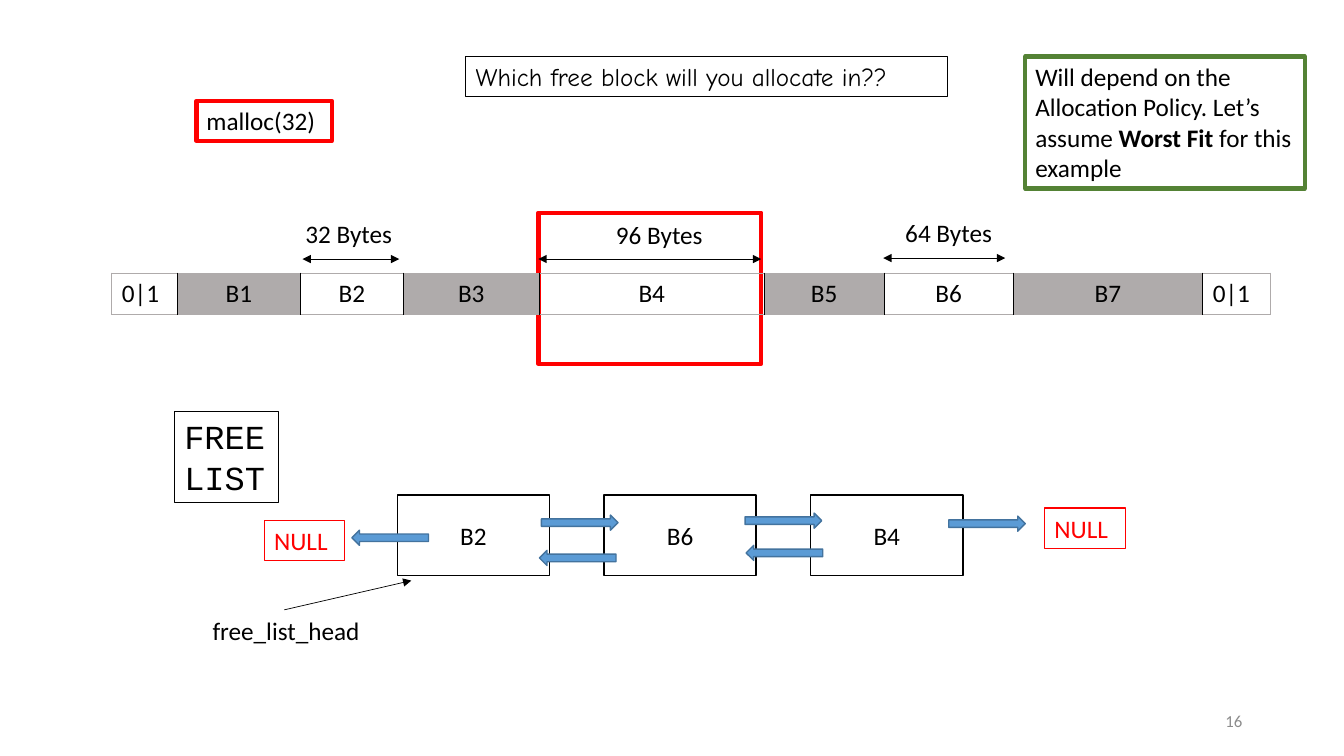
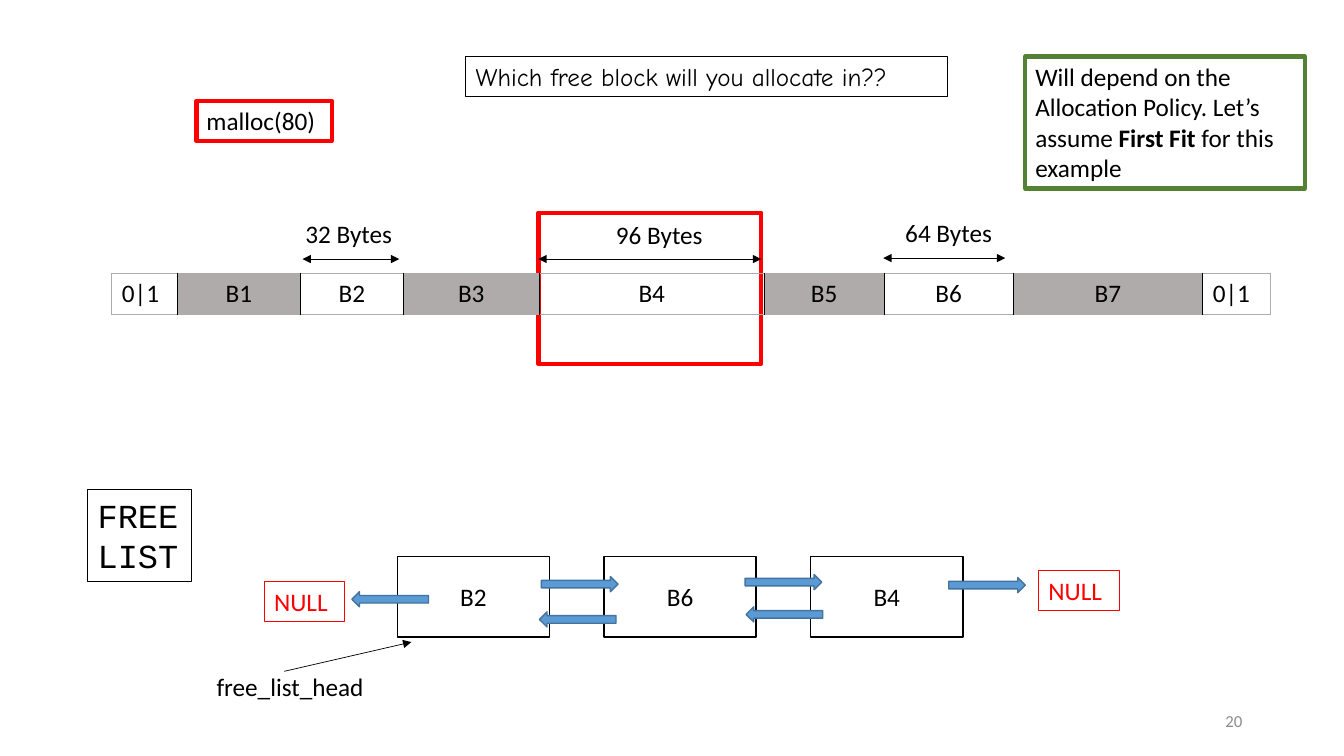
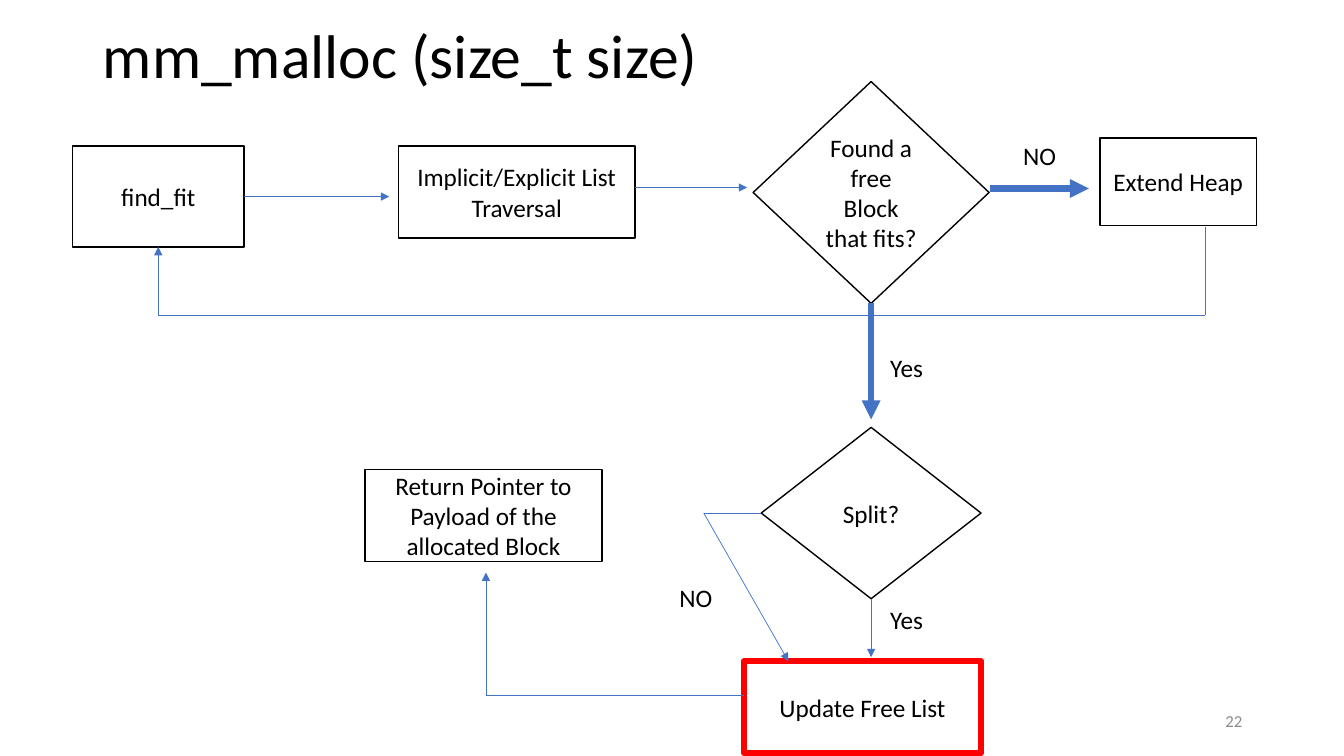
from lxml.etree import SubElement
from pptx import Presentation
from pptx.dml.color import RGBColor
from pptx.enum.shapes import MSO_CONNECTOR, MSO_SHAPE
from pptx.enum.text import MSO_ANCHOR, MSO_AUTO_SIZE, PP_ALIGN
from pptx.oxml.ns import qn
from pptx.util import Inches, Pt

BLACK = RGBColor(0x00, 0x00, 0x00)
WHITE = RGBColor(0xFF, 0xFF, 0xFF)
RED = RGBColor(0xFF, 0x00, 0x00)
GREEN = RGBColor(0x54, 0x82, 0x35)
GREY = RGBColor(0xAF, 0xAB, 0xAB)
NUMBER_GREY = RGBColor(0x8C, 0x8C, 0x8C)
FLOW_BLUE = RGBColor(0x44, 0x72, 0xC4)
ARROW_BLUE = RGBColor(0x5B, 0x9B, 0xD5)
ARROW_EDGE = RGBColor(0x43, 0x73, 0x9E)

TITLE_ONLY, BLANK = 5, 6
BLOCKS = [("0|1", 0.65), ("B1", 1.22), ("B2", 1.02), ("B3", 1.35), ("B4", 2.23),
          ("B5", 1.19), ("B6", 1.28), ("B7", 1.88), ("0|1", 0.67)]
USED = {"B1", "B3", "B5", "B7"}


def write(tf, text, size=18, color=BLACK, font="Calibri", align=PP_ALIGN.LEFT,
          anchor=MSO_ANCHOR.TOP, spacing=None):
    """Fill a text frame; in a tuple of texts, every second one is bold."""
    tf.word_wrap = True
    tf.vertical_anchor = anchor
    p = tf.paragraphs[0]
    p.alignment = align
    p.line_spacing = spacing
    parts = (text,) if isinstance(text, str) else text
    for i, part in enumerate(parts):
        r = p.add_run()
        r.text = part
        r.font.name = font
        r.font.size = Pt(size)
        r.font.bold = i % 2 == 1
        r.font.color.rgb = color


class Deck:
    def __init__(self):
        self.prs = Presentation()
        self.prs.slide_width = Inches(13.33)
        self.prs.slide_height = Inches(7.5)
        self.s = None

    def slide(self, number, title=None):
        layout = TITLE_ONLY if title else BLANK
        self.s = self.prs.slides.add_slide(self.prs.slide_layouts[layout])
        if title:
            sp = self.s.shapes.title
            sp.left, sp.top = Inches(0.92), Inches(0.02)
            sp.width, sp.height = Inches(11.5), Inches(1.13)
            write(sp.text_frame, title, size=44, anchor=MSO_ANCHOR.MIDDLE, spacing=0.9)
        self.text(9.42, 6.95, 3, 0.4, str(number), grow=False, size=12,
                  color=NUMBER_GREY, align=PP_ALIGN.RIGHT, anchor=MSO_ANCHOR.MIDDLE)

    def text(self, x, y, w, h, text, line=None, weight=0.75, grow=True, **fmt):
        sp = self.s.shapes.add_textbox(Inches(x), Inches(y), Inches(w), Inches(h))
        write(sp.text_frame, text, **fmt)
        if grow:
            sp.text_frame.auto_size = MSO_AUTO_SIZE.SHAPE_TO_FIT_TEXT
        if line is not None:
            sp.line.color.rgb = line
            sp.line.width = Pt(weight)

    def shape(self, x, y, w, h, text="", kind=MSO_SHAPE.RECTANGLE, fill=WHITE,
              line=BLACK, weight=1, rotation=0):
        sp = self.s.shapes.add_shape(kind, Inches(x), Inches(y), Inches(w), Inches(h))
        sp.shadow.inherit = False
        sp.rotation = rotation
        sp.fill.solid()
        sp.fill.fore_color.rgb = fill
        sp.line.color.rgb = line
        sp.line.width = Pt(weight)
        if text:
            write(sp.text_frame, text, align=PP_ALIGN.CENTER, anchor=MSO_ANCHOR.MIDDLE)
        return sp

    def line(self, start, end, color=FLOW_BLUE, weight=0.5, head=False, tail=True,
             begin=None, finish=None):
        points = [Inches(v) for v in (*start, *end)]
        c = self.s.shapes.add_connector(MSO_CONNECTOR.STRAIGHT, *points)
        if begin:
            c.begin_connect(*begin)
        if finish:
            c.end_connect(*finish)
        c.line.color.rgb = color
        c.line.width = Pt(weight)
        ln = c.line._get_or_add_ln()
        for tag, shown in (("a:headEnd", head), ("a:tailEnd", tail)):
            if shown:
                SubElement(ln, qn(tag), type="triangle")
        SubElement(c._element.spPr, qn("a:effectLst"))

    def borders(self, cell, **colors):
        tcPr = cell._tc.get_or_add_tcPr()
        for side in "LRTB":
            ln = SubElement(tcPr, qn("a:ln" + side), w=str(Pt(1)))
            fill = SubElement(ln, qn("a:solidFill"))
            SubElement(fill, qn("a:srgbClr"), val=str(colors.get(side, GREY)))

    def heap(self, x, y, h):
        width = sum(w for _, w in BLOCKS)
        table = self.s.shapes.add_table(1, len(BLOCKS), Inches(x), Inches(y),
                                        Inches(width), Inches(h)).table
        table.first_row = table.horz_banding = False
        last = len(BLOCKS) - 1
        for i, (name, w) in enumerate(BLOCKS):
            table.columns[i].width = Inches(w)
            cell = table.cell(0, i)
            self.borders(cell, L=BLACK if i > 0 else GREY, R=BLACK if i < last else GREY)
            if name in USED:
                cell.fill.solid()
                cell.fill.fore_color.rgb = GREY
            else:
                cell.fill.background()
            write(cell.text_frame, name,
                  align=PP_ALIGN.LEFT if i in (0, last) else PP_ALIGN.CENTER)

    def free_list(self, top, caption, end_null, head_label):
        self.text(*caption, 1.03, 0.91, "FREE LIST", line=BLACK, size=24, font="Courier New")
        for i, name in enumerate(("B2", "B6", "B4")):
            self.shape(3.94 + 2.05 * i, top, 1.51, 0.8, name)
        for x, dy, rotation in ((5.37, 0.2, 0), (7.39, 0.18, 0), (9.41, 0.21, 0),
                                (7.4, 0.5, 180), (5.35, 0.55, 180), (3.49, 0.35, 180)):
            self.shape(x, top + dy, 0.76, 0.15, kind=MSO_SHAPE.RIGHT_ARROW,
                       fill=ARROW_BLUE, line=ARROW_EDGE, rotation=rotation)
        for x, y in ((2.62, top + 0.25), end_null):
            self.text(x, y, 0.8, 0.4, "NULL", line=RED, color=RED)
        self.text(*head_label, 1.84, 0.4, "free_list_head")
        self.line((2.82, top + 1.14), (4.08, top + 0.85), color=BLACK)

    def allocation(self, number, call, policy, **free_list):
        self.slide(number)
        self.shape(5.34, 2.11, 2.21, 1.5, line=RED, weight=3)
        self.heap(1.11, 2.71, 0.41)
        for size, x, y, start, end, line_y in ((32, 2.93, 2.12, 3, 3.96, 2.57),
                                               (96, 6.01, 2.13, 5.34, 7.55, 2.57),
                                               (64, 8.88, 2.11, 8.76, 9.97, 2.56)):
            self.line((start, line_y), (end, line_y), color=BLACK, head=True)
            self.text(x, y, 1.09, 0.4, f"{size} Bytes")
        self.text(1.95, 1, 1.34, 0.4, call, line=RED, weight=3)
        self.text(4.62, 0.56, 4.78, 0.4, "Which free block will you allocate in??",
                  line=BLACK, font="Comic Neue")
        self.text(10.17, 0.56, 2.77, 1.31,
                  ("Will depend on the Allocation Policy. Let’s assume ",
                   policy + " ", "for this example"), line=GREEN, weight=3)
        self.free_list(**free_list)

    def flowchart(self, number):
        self.slide(number, "mm_malloc (size_t size)")
        find_fit = self.shape(0.72, 1.45, 1.7, 1, "find_fit")
        self.shape(3.95, 1.45, 2.35, 0.91, "Implicit/Explicit List Traversal")
        found = self.shape(7.47, 0.81, 2.34, 2.2, "Found a free Block that fits?",
                           kind=MSO_SHAPE.DIAMOND)
        self.shape(10.91, 1.37, 1.55, 0.87, "Extend Heap")
        split = self.shape(7.55, 4.24, 2.18, 1.7, "Split?", kind=MSO_SHAPE.DIAMOND)
        self.shape(3.62, 4.66, 2.35, 0.91, "Return Pointer to Payload of the allocated Block")
        self.shape(7.38, 6.56, 2.35, 0.91, "Update Free List", line=RED, weight=4.5)

        self.line((2.42, 1.95), (3.86, 1.95), begin=(find_fit, 3))
        self.line((6.3, 1.86), (7.41, 1.86))
        self.line((9.82, 1.87), (10.8, 1.87), weight=4.5)
        self.line((11.95, 2.25), (11.95, 3.13), tail=False)
        self.line((1.57, 3.13), (11.95, 3.13), tail=False)
        self.line((1.57, 3.13), (1.57, 2.45), finish=(find_fit, 2))
        self.line((8.64, 3.01), (8.64, 4.16), weight=4.5, begin=(found, 2))
        self.line((8.64, 5.94), (8.64, 6.52), begin=(split, 2))
        self.line((6.98, 5.09), (7.55, 5.09), tail=False, finish=(split, 1))
        self.line((6.98, 5.09), (7.82, 6.56))
        self.line((4.82, 6.9), (7.38, 6.9), tail=False)
        self.line((4.82, 6.9), (4.82, 5.68))

        for x, y, answer in ((10.05, 1.34, "NO"), (8.73, 3.45, "Yes"),
                             (6.64, 5.73, "NO"), (8.73, 5.95, "Yes")):
            self.text(x, y, 0.68, 0.4, answer)


def main():
    deck = Deck()
    deck.allocation(16, "malloc(32)", "Worst Fit", top=4.91, caption=(1.73, 4.08),
                    end_null=(10.36, 5.04), head_label=(2.01, 6.06))
    deck.allocation(20, "malloc(80)", "First Fit", top=5.52, caption=(0.87, 4.86),
                    end_null=(10.3, 5.66), head_label=(2.05, 6.61))
    deck.flowchart(22)
    deck.prs.save("out.pptx")


if __name__ == "__main__":
    main()
